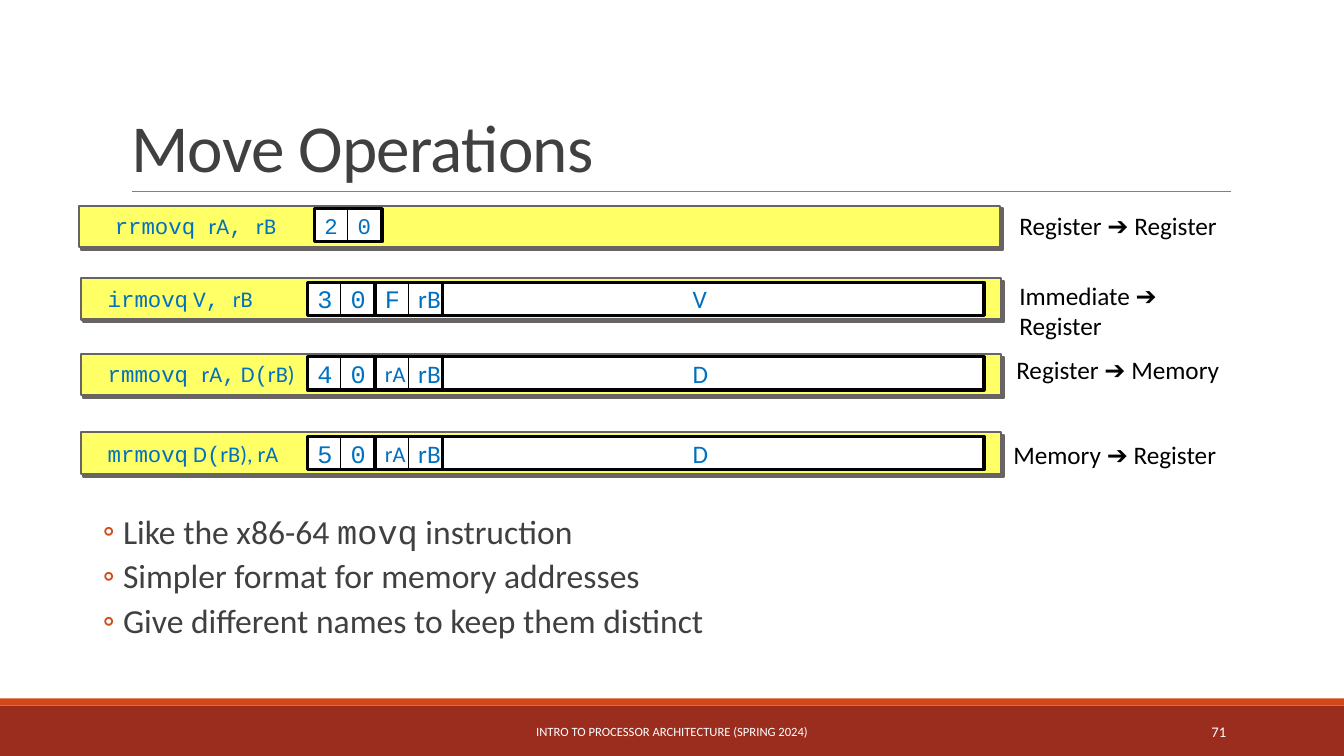
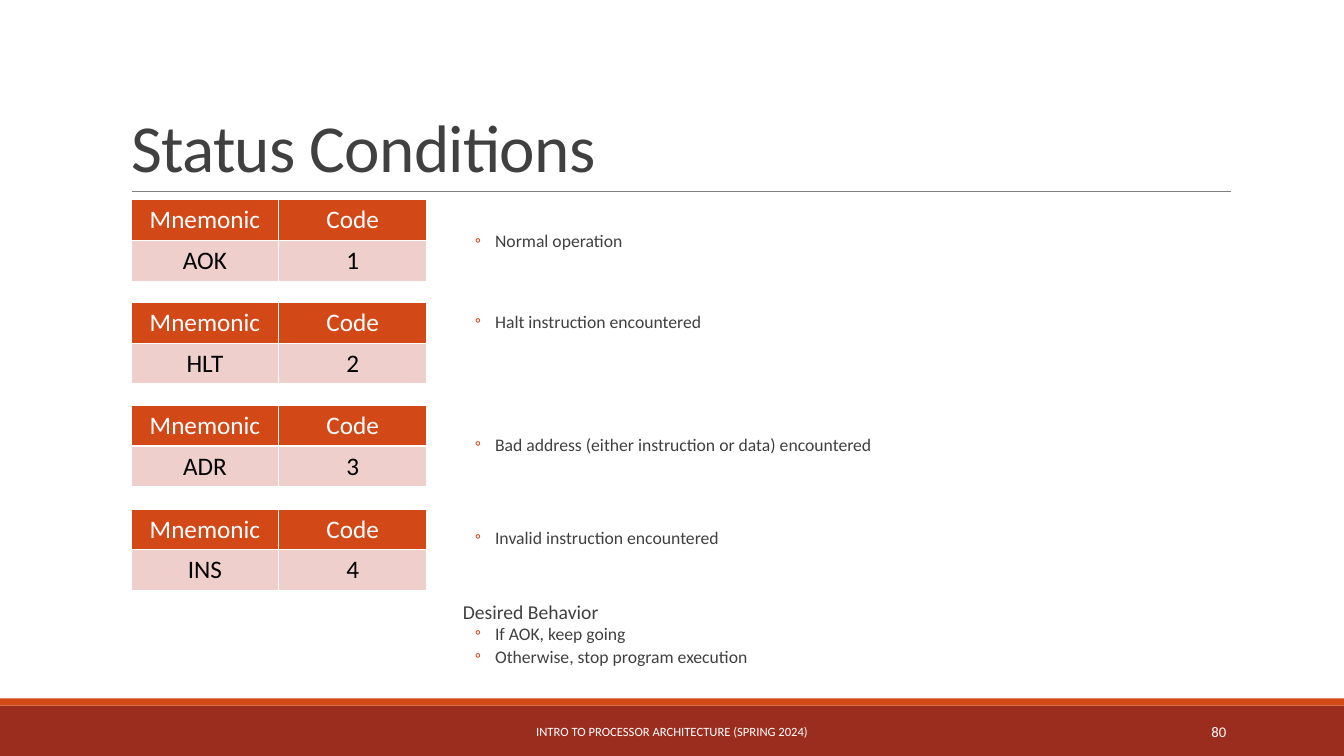
from dataclasses import dataclass
from typing import Any, NamedTuple

from lxml.etree import SubElement as Sub
from pptx import Presentation
from pptx.dml.color import RGBColor as Rgb
from pptx.enum.shapes import MSO_CONNECTOR as Link, MSO_SHAPE as Kind
from pptx.enum.text import MSO_ANCHOR as Anchor, MSO_AUTO_SIZE as Fit, PP_ALIGN as Align
from pptx.oxml.ns import qn
from pptx.util import Emu, Pt

HUE = {
    "band": "9B2D1F", "accent": "D34817", "rule": "808080", "title": "404040",
    "bar": "FFFF66", "edge": "696464", "code": "0070C0", "tint": "EFCFCC",
    "white": "FFFFFF", "black": "000000",
}
SANS, MONO = "Calibri", "Courier New"
WIDE, HIGH = 1333, 750
COURSE = "INTRO TO PROCESSOR ARCHITECTURE (SPRING 2024)"
CELL, PAIR = 33, 67


class Run(NamedTuple):
    text: str
    face: str = SANS


class Box(NamedTuple):
    left: int
    top: int
    width: int
    height: int


@dataclass
class Line:
    runs: list[Run]
    size: float
    before: float = 2
    after: float = 4
    bullet: bool = True


@dataclass
class Op:
    """One instruction: its bar, its encoded bytes and its label."""
    bar: Box
    left: int
    top: int
    code: list[Run]
    cells: list[Run]
    value: str
    ends: tuple[str, str]
    note: tuple[int, int]
    size: int = 18


OPS = [
    Op(Box(78, 204, 914, 41), 312, 207,
       [Run("rrmovq ", MONO), Run("rA"), Run(", ", MONO), Run("rB")],
       [Run("2", MONO), Run("0", MONO)], "", ("Register", "Register"), (1006, 204), 16),
    Op(Box(80, 276, 913, 41), 305, 280,
       [Run("irmovq", MONO), Run(" V"), Run(", ", MONO), Run("rB")],
       [Run("3", MONO), Run("0", MONO), Run("F", MONO), Run("rB")],
       "V", ("Immediate", "Register"), (1006, 273)),
    Op(Box(80, 351, 913, 41), 305, 354,
       [Run("rmmovq ", MONO), Run("rA"), Run(",", MONO), Run(" D"), Run("(", MONO), Run("rB)")],
       [Run("4", MONO), Run("0", MONO), Run("rA"), Run("rB")],
       "D", ("Register", "Memory"), (1003, 347)),
    Op(Box(80, 429, 913, 41), 305, 433,
       [Run("mrmovq", MONO), Run(" D"), Run("(", MONO), Run("rB), rA")],
       [Run("5", MONO), Run("0", MONO), Run("rA"), Run("rB")],
       "D", ("Memory", "Register"), (1000, 431)),
]
MOVES = [
    Line([Run("Like the x86-64 "), Run("movq", MONO), Run(" instruction")], 24),
    Line([Run("Simpler format for memory addresses")], 24),
    Line([Run("Give different names to keep them distinct")], 24),
]
STATES = [
    Line([Run("Normal operation")], 12.6),
    Line([Run("Halt instruction encountered")], 12.6, 43),
    Line([Run("Bad address (either instruction or data) encountered")], 12.6, 73),
    Line([Run("Invalid instruction encountered")], 12.6, 52),
    Line([Run("Desired Behavior")], 14, 38, 2, False),
    Line([Run("If AOK, keep going")], 12.6),
    Line([Run("Otherwise, stop program execution")], 12.6),
]


def px(n: int) -> Emu:
    """Turn hundredths of an inch into EMU."""
    return Emu(n * 9144)


def rgb(name: str) -> Rgb:
    return Rgb.from_string(HUE[name])


def form(item: Any, **values: Any) -> None:
    for key, value in values.items():
        setattr(item, key, value)


def place(item: Any, box: Box) -> None:
    form(item, **{key: px(n) for key, n in box._asdict().items()})


def write(para: Any, runs: list[Run], size: float, hue: str) -> None:
    for part in runs:
        run = para.add_run()
        run.text = part.text
        form(run.font, name=part.face, size=Pt(size), bold=False)
        run.font.color.rgb = rgb(hue)


def rect(slide: Any, box: Box, fill: str = "", line: str = "", weight: float = 0.5) -> Any:
    shape = slide.shapes.add_shape(Kind.RECTANGLE, *map(px, box))
    shape.shadow.inherit = False
    if fill:
        shape.fill.solid()
        shape.fill.fore_color.rgb = rgb(fill)
    else:
        shape.fill.background()
    if line:
        shape.line.color.rgb = rgb(line)
        shape.line.width = Pt(weight)
    else:
        shape.line.fill.background()
    return shape


def label(shape: Any, runs: list[Run], size: float, hue: str, inset: int = 10,
          align: Any = Align.LEFT, anchor: Any = Anchor.MIDDLE, wrap: bool = False) -> None:
    frame = shape.text_frame
    form(frame, word_wrap=wrap, vertical_anchor=anchor, margin_left=px(inset))
    frame.paragraphs[0].alignment = align
    write(frame.paragraphs[0], runs, size, hue)


def text(slide: Any, box: Box, runs: list[Run], size: float, hue: str, **look: Any) -> None:
    label(slide.shapes.add_textbox(*map(px, box)), runs, size, hue, **look)


def shade(shape: Any) -> None:
    """Add a hard shadow to the lower right."""
    effects = shape.element.spPr.find(qn("a:effectLst"))
    outer = Sub(effects, qn("a:outerShdw"), dist="35921", dir="2700000", algn="ctr")
    Sub(outer, qn("a:srgbClr"), val=HUE["edge"])


def brand(layout: Any, slide: Any) -> None:
    """Move the bands and the title rule into the layout, below its placeholders."""
    rule = slide.shapes.add_connector(Link.STRAIGHT, px(131), px(190), px(1221), px(190))
    rule.line.color.rgb = rgb("rule")
    rule.line.width = Pt(0.5)
    Sub(rule.element.spPr, qn("a:effectLst"))
    parts = [rect(slide, Box(0, 700, WIDE, 50), "band"),
             rect(slide, Box(0, 693, WIDE, 7), "accent"), rule]
    for part in parts:
        layout.shapes.element.append(part.element)


def start(slide: Any, title: str, page: int) -> None:
    """Fill in the title, footer and page number."""
    head = slide.shapes.title
    place(head, Box(120, 31, 1100, 159))
    form(head.text_frame, auto_size=Fit.NONE, vertical_anchor=Anchor.BOTTOM, word_wrap=True)
    para = head.text_frame.paragraphs[0]
    form(para, alignment=Align.LEFT, line_spacing=0.85)
    write(para, [Run(title)], 48, "title")
    para.runs[0].font._element.set("spc", "-50")
    text(slide, Box(403, 706, 527, 40), [Run(COURSE)], 9, "white", align=Align.CENTER, wrap=True)
    text(slide, Box(1083, 706, 143, 40), [Run(str(page))], 10.5, "white",
         align=Align.RIGHT, wrap=True)


def fill_list(slide: Any, box: Box, lines: list[Line], pitch: float) -> None:
    body = slide.placeholders[1]
    place(body, box)
    frame = body.text_frame
    form(frame, auto_size=Fit.NONE, word_wrap=True, margin_left=0, margin_right=0,
         vertical_anchor=Anchor.TOP)
    for i, line in enumerate(lines):
        para = frame.add_paragraph() if i else frame.paragraphs[0]
        form(para, level=int(line.bullet), alignment=Align.LEFT, line_spacing=pitch,
             space_before=Pt(line.before), space_after=Pt(line.after))
        write(para, line.runs, line.size, "title")
        props = para._p.get_or_add_pPr()
        left, hang = (42, -20) if line.bullet else (10, 0)
        props.set("marL", str(px(left)))
        props.set("indent", str(px(hang)))
        if line.bullet:
            Sub(Sub(props, qn("a:buClr")), qn("a:srgbClr"), val=HUE["accent"])
            Sub(props, qn("a:buFont"), typeface=SANS)
            Sub(props, qn("a:buChar"), char="◦")
        else:
            Sub(props, qn("a:buNone"))


def draw_op(slide: Any, op: Op) -> None:
    shade(rect(slide, op.bar, "bar", "edge", 1.5))
    text(slide, Box(op.left - 208, op.top, 209, CELL), op.code, 16, "code")
    for i, run in enumerate(op.cells):
        pair, side = divmod(i, 2)
        left = op.left + pair * PAIR + side * CELL
        cell = rect(slide, Box(left, op.top, CELL, CELL), "white", "black")
        label(cell, [run], 16 if run.text == "rA" else op.size, "code")
    for pair in range(len(op.cells) // 2):
        rect(slide, Box(op.left + pair * PAIR, op.top, PAIR, CELL), "", "black", 2.25)
    if op.value:
        field = rect(slide, Box(439, op.top, 537, CELL), "white", "black", 2.25)
        label(field, [Run(op.value)], 18, "code", inset=248)
    source, target = op.ends
    text(slide, Box(*op.note, 220, 41),
         [Run(source + " "), Run("➔", "Arial"), Run(" " + target)], 18, "black",
         inset=5, anchor=Anchor.TOP)


def draw_state(slide: Any, top: int, name: str, code: int) -> None:
    table = slide.shapes.add_table(2, 2, *map(px, Box(130, top, 293, 81))).table
    rows = [("Mnemonic", "Code", "accent", "white"), (name, str(code), "tint", "black")]
    for r, (*words, fill, hue) in enumerate(rows):
        for c, word in enumerate(words):
            cell = table.cell(r, c)
            props = cell._tc.get_or_add_tcPr()
            for side in "LRTB":
                edge = Sub(props, qn(f"a:ln{side}"), w=str(Pt(1)))
                Sub(Sub(edge, qn("a:solidFill")), qn("a:srgbClr"), val=HUE["white"])
            cell.fill.solid()
            cell.fill.fore_color.rgb = rgb(fill)
            para = cell.text_frame.paragraphs[0]
            para.alignment = Align.CENTER
            write(para, [Run(word)], 18, hue)


def main() -> None:
    deck = Presentation()
    form(deck, slide_width=px(WIDE), slide_height=px(HIGH))
    layout = deck.slide_layouts[1]

    moves = deck.slides.add_slide(layout)
    brand(layout, moves)
    start(moves, "Move Operations", 71)
    fill_list(moves, Box(80, 506, 1048, 179), MOVES, 0.9)
    for op in OPS:
        draw_op(moves, op)

    states = deck.slides.add_slide(layout)
    start(states, "Status Conditions", 80)
    fill_list(states, Box(449, 229, 771, 445), STATES, 0.7)
    for i, name in enumerate(["AOK", "HLT", "ADR", "INS"]):
        draw_state(states, 198 + i * 307 // 3, name, i + 1)

    deck.save("out.pptx")


if __name__ == "__main__":
    main()
